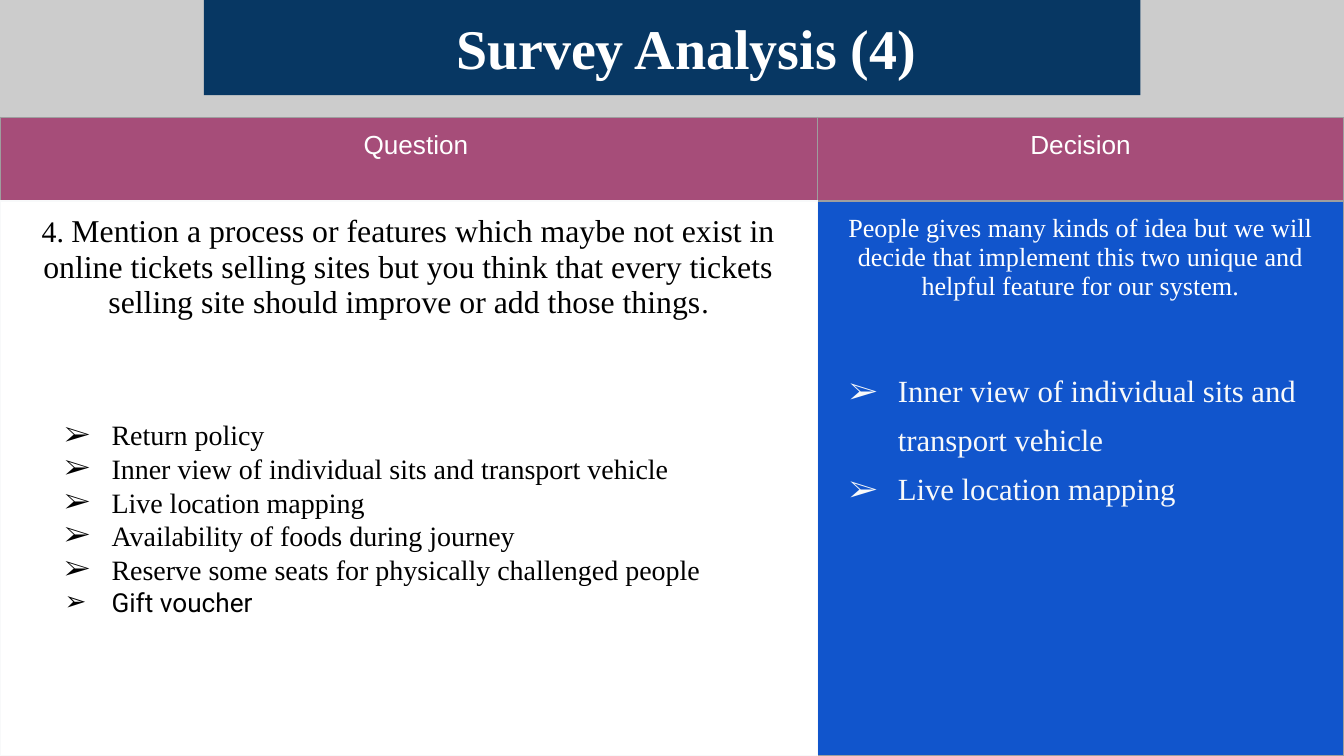
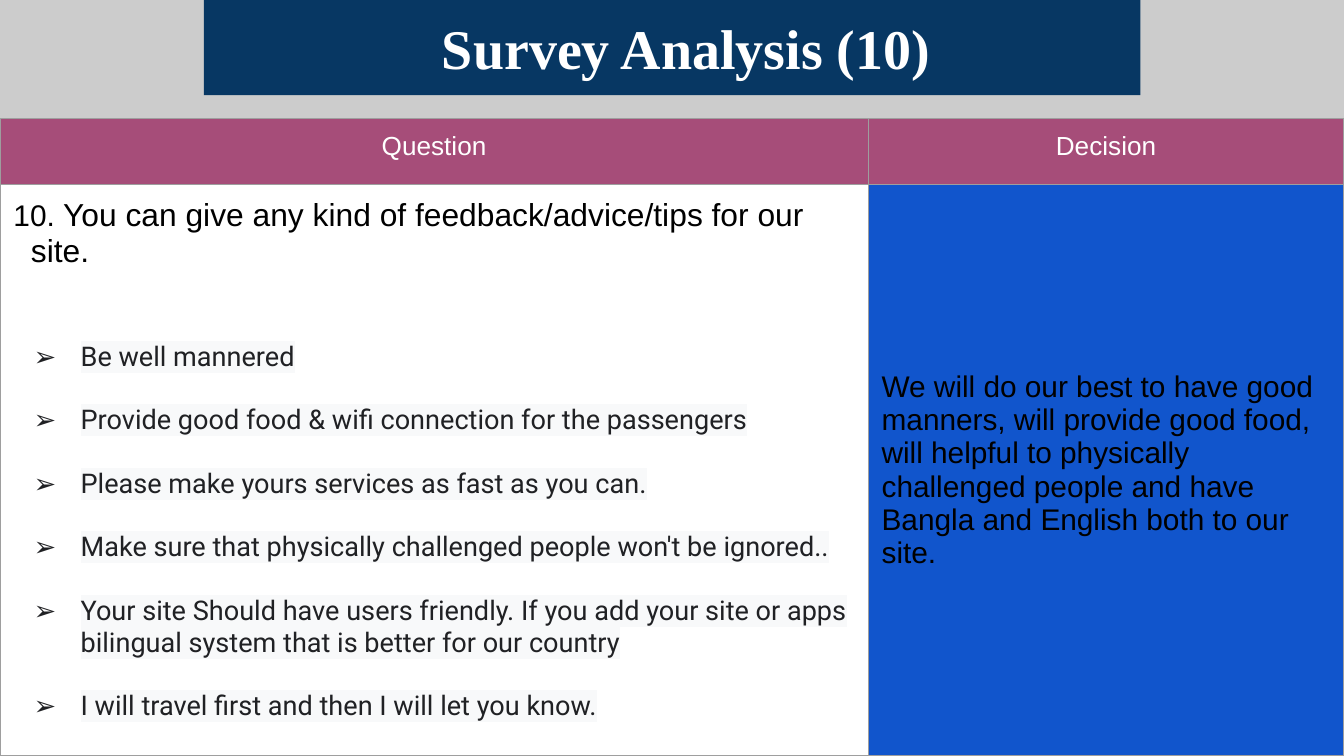
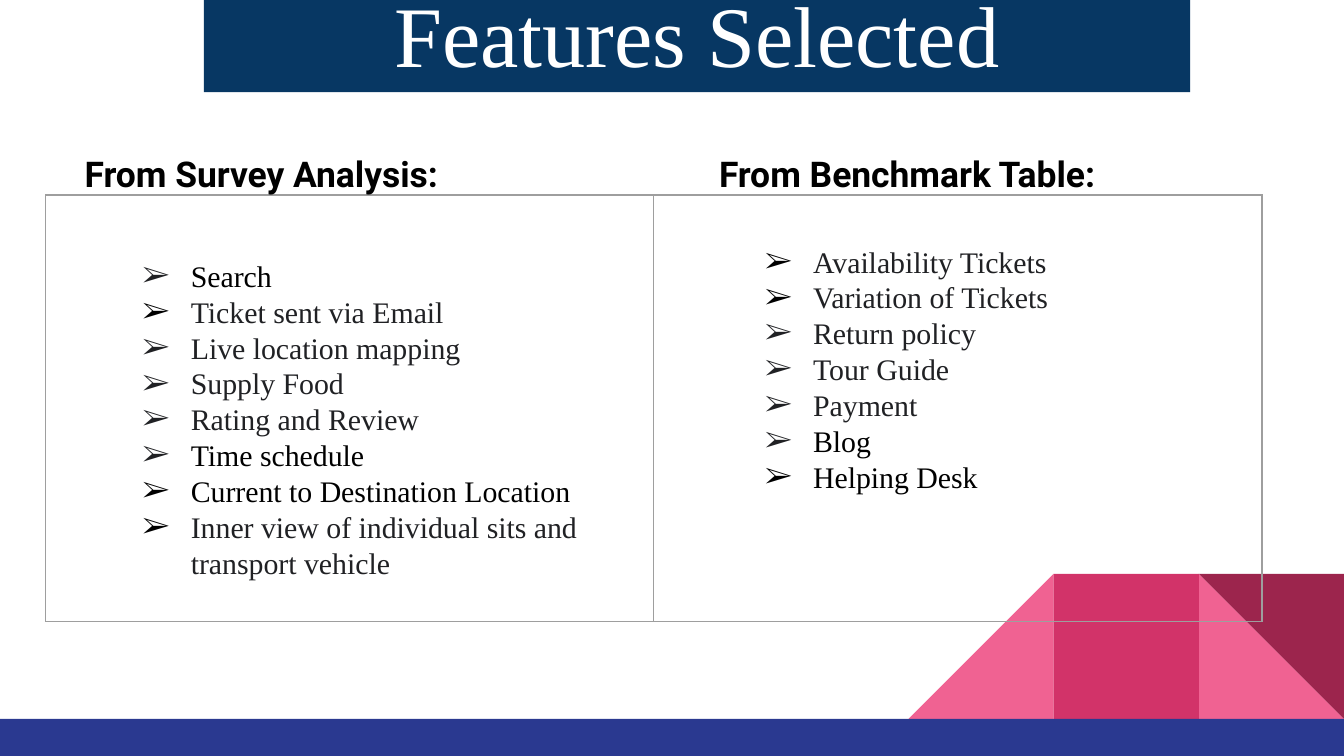
from dataclasses import dataclass, replace

from lxml.etree import SubElement
from pptx import Presentation
from pptx.dml.color import RGBColor
from pptx.enum.shapes import MSO_SHAPE as Preset
from pptx.enum.text import MSO_ANCHOR as Anchor, MSO_AUTO_SIZE as AutoSize, PP_ALIGN as Align
from pptx.oxml.ns import qn
from pptx.util import Inches, Pt

WIDTH = Inches(10)
HEIGHT = WIDTH * 9 // 16
TITLE_AND_LIST, COMPARISON, TITLE_ONLY = 1, 4, 5


@dataclass(frozen=True)
class Theme:
    gray: str = "CCCCCC"
    white: str = "FFFFFF"
    pale: str = "F8F9FA"
    black: str = "000000"
    ink: str = "202124"
    rule: str = "9E9E9E"
    navy: str = "073763"
    plum: str = "A64D79"
    blue: str = "1155CC"
    pink: str = "F06292"
    rose: str = "D23369"
    wine: str = "9C254D"
    indigo: str = "2A3990"
    serif: str = "Times New Roman"
    sans: str = "Arial"
    roboto: str = "Roboto"
    banner_size: float = 30
    display_size: float = 46.2
    heading_size: float = 19
    question_size: float = 17
    text_size: float = 16
    small_size: float = 14


THEME = Theme()


@dataclass(frozen=True)
class Line:
    """One paragraph; text is a string or a list of (text, size) runs."""
    text: object
    size: float = THEME.text_size
    font: str = THEME.serif
    color: str = THEME.black
    bold: bool = False
    align: object = Align.LEFT
    bullet: str = ""
    indent: float = 0
    hang: float = 0
    before: float = 0
    spacing: float = 1
    highlight: str = ""


@dataclass(frozen=True)
class Cell:
    """A table cell; pale_edges names the sides (L, R, T, B) with a pale border."""
    lines: tuple = ()
    fill: str = ""
    anchor: object = Anchor.TOP
    pale_edges: str = ""
    left: float = 0.1


def rgb(color):
    return RGBColor.from_string(color)


def across(percent):
    return round(WIDTH * percent / 100)


def down(percent):
    return round(HEIGHT * percent / 100)


def box(left, top, width, height):
    """Turn percentages of the slide into a position and size."""
    return across(left), down(top), across(width), down(height)


def fill_with(fill, color):
    fill.solid()
    fill.fore_color.rgb = rgb(color)


def add_color(parent, tag, color):
    element = SubElement(parent, qn(tag))
    SubElement(element, qn("a:srgbClr"), val=color)


def write_line(paragraph, line):
    properties = paragraph._p.get_or_add_pPr()
    properties.set("marL", str(Inches(line.indent)))
    properties.set("indent", str(Inches(-line.hang)))
    if line.bullet:
        add_color(properties, "a:buClr", line.bullet)
        SubElement(properties, qn("a:buFont"), typeface=line.font)
        SubElement(properties, qn("a:buChar"), char="➢")
    else:
        SubElement(properties, qn("a:buNone"))
    paragraph.alignment = line.align
    paragraph.line_spacing = line.spacing
    paragraph.space_before = Pt(line.before)
    font = paragraph.font
    font.size, font.name, font.bold = Pt(line.size), line.font, line.bold
    font.color.rgb = rgb(line.color)
    runs = [(line.text, None)] if isinstance(line.text, str) else line.text
    for text, size in runs:
        run = paragraph.add_run()
        run.text = text
        if size:
            run.font.size = Pt(size)
        if line.highlight:
            add_color(run._r.get_or_add_rPr(), "a:highlight", line.highlight)


def write_lines(frame, lines):
    for number, line in enumerate(lines):
        paragraph = frame.add_paragraph() if number else frame.paragraphs[0]
        write_line(paragraph, line)


def fill_placeholder(placeholder, area, lines, anchor=Anchor.TOP, left=0.1, edge=0.1):
    placeholder.left, placeholder.top, placeholder.width, placeholder.height = area
    frame = placeholder.text_frame
    frame.word_wrap = True
    frame.auto_size = AutoSize.NONE
    frame.vertical_anchor = anchor
    frame.margin_left, frame.margin_right = Inches(left), Inches(0.1)
    frame.margin_top = frame.margin_bottom = Inches(edge)
    write_lines(frame, lines)


def bullets(base, texts):
    return [replace(base, text=text) for text in texts]


def add_banner(slide, line, area, **settings):
    title = slide.shapes.title
    fill_with(title.fill, THEME.navy)
    fill_placeholder(title, box(*area), [line], **settings)


def add_survey_banner(slide, text):
    line = Line(text, THEME.banner_size, color=THEME.white, bold=True, align=Align.CENTER)
    add_banner(slide, line, (15.16, 0, 69.7, 12.6), left=0.31)


def set_borders(cell, pale_edges):
    properties = cell._tc.get_or_add_tcPr()
    for position, side in enumerate("LRTB"):
        color = THEME.pale if side in pale_edges else THEME.rule
        border = SubElement(properties, qn(f"a:ln{side}"), w=str(Pt(0.75)))
        add_color(border, "a:solidFill", color)
        properties.insert(position, border)


def add_table(slide, left, top, columns, rows, contents):
    """Add a table behind the placeholders; sizes are percentages of the slide."""
    area = box(left, top, sum(columns), sum(rows))
    graphic = slide.shapes.add_table(len(rows), len(columns), *area)
    slide.shapes.element.insert(2, graphic.element)
    table = graphic.table
    table.first_row = table.horz_banding = False
    for column, width in zip(table.columns, columns):
        column.width = across(width)
    for row, height in zip(table.rows, rows):
        row.height = down(height)
    for cell, content in zip(table.iter_cells(), contents):
        cell.margin_left = Inches(content.left)
        cell.margin_right = cell.margin_top = cell.margin_bottom = Inches(0.1)
        cell.vertical_anchor = content.anchor
        write_lines(cell.text_frame, content.lines)
        if content.fill:
            fill_with(cell.fill, content.fill)
        else:
            cell.fill.background()
        set_borders(cell, content.pale_edges)


def header(text, **settings):
    line = Line(text, THEME.small_size, THEME.sans, THEME.white, align=Align.CENTER)
    return Cell((line,), THEME.plum, **settings)


def add_master_decor(presentation, slide):
    """Draw the corner triangles and the bottom band, then move them to the master."""
    group = slide.shapes.add_group_shape()
    tile, tile_top, tile_height = 10.8, 75.9, 19.2
    right, band_top = 100 - tile, tile_top + tile_height
    pieces = [
        (Preset.RIGHT_TRIANGLE, right, 0, THEME.pink),
        (Preset.RIGHT_TRIANGLE, right - 2 * tile, 270, THEME.pink),
        (Preset.RECTANGLE, right - tile, 0, THEME.rose),
        (Preset.RIGHT_TRIANGLE, right, 180, THEME.wine),
    ]
    parts = [(kind, box(left, tile_top, tile, tile_height), turn, color)
             for kind, left, turn, color in pieces]
    parts.append((Preset.RECTANGLE, box(0, band_top, 100, 100 - band_top), 0, THEME.indigo))
    for kind, area, turn, color in parts:
        shape = group.shapes.add_shape(kind, *area)
        shape.rotation = turn
        shape.shadow.inherit = False
        fill_with(shape.fill, color)
        shape.line.fill.background()
    for number, name in enumerate(group.element.iter(qn("p:cNvPr")), 100):
        name.set("id", str(number))
    presentation.slide_master.shapes.element.insert(2, group.element)


def add_slide(presentation, layout, background):
    slide = presentation.slides.add_slide(presentation.slide_layouts[layout])
    fill_with(slide.background.fill, background)
    return slide


def build_survey_four(slide):
    add_survey_banner(slide, "Survey Analysis (4)")
    question = Line([
        ("4. ", THEME.text_size),
        ("Mention a process or features which maybe not exist in online tickets selling "
         "sites but you think that every tickets selling site should improve or add "
         "those things", None),
        (".", THEME.text_size),
    ], THEME.question_size, align=Align.CENTER)
    decision = Line("People gives many kinds of idea but we will decide that implement "
                    "this two unique and helpful feature for our system.",
                    THEME.small_size, color=THEME.white, align=Align.CENTER)
    feature = Line("Inner view of individual sits and transport vehicle", 16.5,
                   color=THEME.pale, bullet=THEME.pale, indent=0.5, hang=0.36,
                   before=32, spacing=1.43)
    mapping = replace(feature, text="Live location mapping", before=0)
    add_table(slide, 0, 15.5, (60.8, 39.2), (11.1, 73.4), [
        header("Question", pale_edges="RB", left=0.21),
        header("Decision"),
        Cell((question,), THEME.white, pale_edges="LRTB"),
        Cell((decision, feature, mapping), THEME.blue, pale_edges="L"),
    ])
    answer = Line("", 15, bullet=THEME.black, indent=0.5, hang=0.35)
    answers = bullets(answer, [
        "Return policy",
        "Inner view of individual sits and transport vehicle",
        "Live location mapping",
        "Availability of foods during journey",
        "Reserve some seats for physically challenged people",
    ])
    answers.append(replace(answer, text="Gift voucher", size=THEME.small_size,
                           font=THEME.roboto))
    fill_placeholder(slide.placeholders[1], box(2.3, 53.5, 57.6, 30.2), answers)


def build_survey_ten(slide):
    add_survey_banner(slide, "Survey Analysis (10)")
    question = Line([
        ("10. ", THEME.text_size),
        ("You can give any kind of feedback/advice/tips for our site.", None),
    ], THEME.question_size, THEME.sans, indent=0.13, hang=0.13)
    advice = Line("", 14.5, THEME.roboto, THEME.ink, bullet=THEME.ink, indent=0.5,
                  hang=0.35, before=17, highlight=THEME.pale)
    first, *others = bullets(advice, [
        "Be well mannered",
        "Provide good food & wifi connection for the passengers",
        "Please make yours services as fast as you can.",
        "Make sure that physically challenged people won't be ignored..",
        "Your site Should have users friendly. If you add your site or apps bilingual "
        "system that is better for our country",
        "I will travel first and then I will let you know.",
    ])
    decision = Line("We will do our best to have good manners, will provide good food, "
                    "will helpful to physically challenged people and have Bangla and "
                    "English both to our site.", font=THEME.sans)
    add_table(slide, 0, 15.7, (64.6, 35.4), (8.7, 75.6), [
        header("Question"),
        header("Decision"),
        Cell((question, replace(first, before=38.5), *others), THEME.white),
        Cell((decision,), THEME.blue, Anchor.MIDDLE),
    ])


def build_features(slide):
    title = Line("Features Selected", THEME.display_size, color=THEME.white,
                 align=Align.CENTER, spacing=0.7)
    add_banner(slide, title, (15.16, 0, 73.4, 12.2), anchor=Anchor.MIDDLE, edge=0.05)
    add_table(slide, 3.4, 25.8, (45.25, 45.25), (56.4,), [Cell(), Cell()])
    black, ink = THEME.black, THEME.ink
    columns = [
        ("From Survey Analysis:", (5.3, 40.7), (8.2, 32.3, 39.3, 51.6), [
            ("Search", black, ink),
            ("Ticket sent via Email", ink, black),
            ("Live location mapping", ink, ink),
            ("Supply Food", ink, ink),
            ("Rating and Review", ink, ink),
            ("Time schedule", black, ink),
            ("Current to Destination Location", black, black),
            ("Inner view of individual sits and transport vehicle", ink, black),
        ]),
        ("From Benchmark Table:", (52.5, 34.4), (54.5, 30.4, 38.4, 51.6), [
            ("Availability Tickets", ink, black),
            ("Variation of Tickets", ink, black),
            ("Return policy", ink, ink),
            ("Tour Guide", ink, ink),
            ("Payment", ink, ink),
            ("Blog", black, ink),
            ("Helping Desk", black, black),
        ]),
    ]
    for number, (heading, (left, width), area, features) in enumerate(columns):
        heading_line = Line(heading, THEME.heading_size, THEME.roboto, bold=True)
        fill_placeholder(slide.placeholders[1 + 2 * number], box(left, 18.3, width, 9.3),
                         [heading_line])
        lines = [Line(text, color=color, bullet=bullet, indent=0.5, hang=0.36)
                 for text, color, bullet in features]
        fill_placeholder(slide.placeholders[2 + 2 * number], box(*area), lines)


def main():
    presentation = Presentation()
    presentation.slide_width, presentation.slide_height = WIDTH, HEIGHT
    survey_four = add_slide(presentation, TITLE_AND_LIST, THEME.gray)
    add_master_decor(presentation, survey_four)
    build_survey_four(survey_four)
    build_survey_ten(add_slide(presentation, TITLE_ONLY, THEME.gray))
    build_features(add_slide(presentation, COMPARISON, THEME.white))
    presentation.save("out.pptx")


if __name__ == "__main__":
    main()
